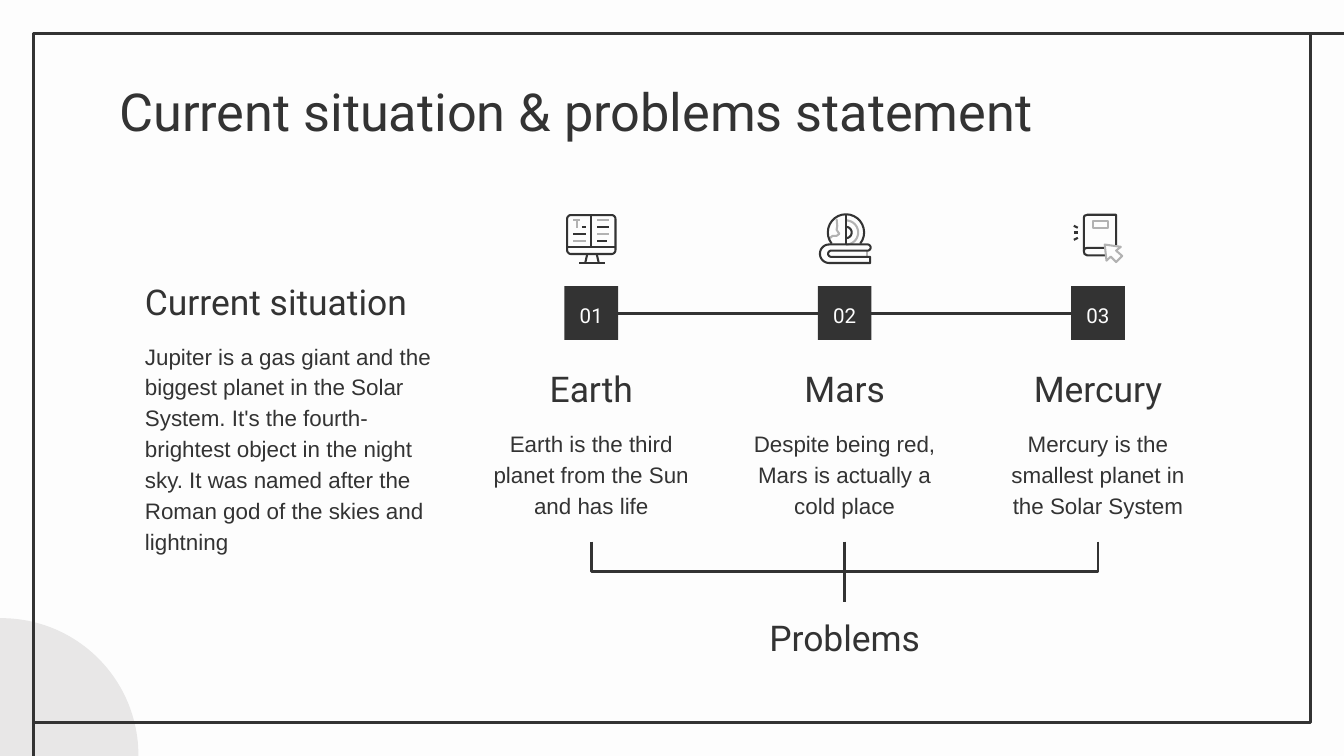
from dataclasses import dataclass
from math import cos, radians, sin

from lxml import etree
from pptx import Presentation
from pptx import util as u
from pptx.dml.color import RGBColor
from pptx.enum import shapes, text
from pptx.oxml import ns

COLORS = {"paper": "FDFDFD", "ink": "333333", "grey": "B2B2B2", "disc": "E8E7E7"}
WIDTH, HEIGHT = 10, 5.625
FIRST_CENTER, PITCH = 4.4, 1.885   # timeline columns
COLUMN_WIDTH, NODE = 1.7, 0.4
NODE_TOP, ICON_TOP = 2.13, 1.59
BRACKET_TOP, BRACKET_BOTTOM = 4.03, 4.48
MARGIN = 0.25
ICON_UNIT = 0.01                   # inches per cell of the icon grid
ALIGN, ANCHOR = text.PP_ALIGN, text.MSO_ANCHOR

Point = tuple[float, float]


@dataclass(frozen=True)
class Style:
    size: float
    font: str = "Roboto"
    color: str = "ink"
    spacing: float = 1.15


@dataclass(frozen=True)
class Stroke:
    points: list[Point]
    color: str = "ink"
    closed: bool = False


@dataclass(frozen=True)
class Problem:
    name: str
    detail: str
    icon: list[Stroke]


TITLE = Style(28, spacing=1.0)
HEADING = Style(19)
BODY = Style(12, "Arial")
NUMBER = Style(11, color="paper")


def arc(x: float, y: float, radius: float, start: int, end: int) -> list[Point]:
    """Points on a circle, with angles running clockwise from the right."""
    steps = 20
    angles = [radians(start + (end - start) * i / steps) for i in range(steps + 1)]
    return [(x + radius * cos(a), y + radius * sin(a)) for a in angles]


def dash(left: float, right: float, y: float, color: str = "ink") -> Stroke:
    return Stroke([(left, y), (right, y)], color)


MONITOR = [
    Stroke(arc(5, 4, 3, 180, 270) + arc(35, 4, 3, 270, 360)
           + arc(35, 27, 3, 0, 90) + arc(5, 27, 3, 90, 180), closed=True),
    Stroke([(20, 1), (20, 24.5)]), dash(2, 38, 24.5),
    Stroke([(17, 30), (15.5, 36.5)]), Stroke([(24, 30), (25.5, 36.5)]),
    dash(11, 30, 36.5),
    dash(6.5, 11.5, 5, "grey"), Stroke([(9, 5), (9, 10.5)], "grey"),
    dash(13, 16, 10), dash(6.5, 16, 15), dash(6.5, 16, 20, "grey"),
    dash(24.5, 33.5, 5, "grey"), dash(24.5, 33.5, 10),
    dash(24.5, 33.5, 15, "grey"), dash(24.5, 32, 20),
]
GLOBE = [
    Stroke([(14, 4), (14.5, 9), (14, 12), (16, 15), (14, 16.5), (11, 16.5), (8, 19)],
           "grey"),
    Stroke(arc(21, 14, 9, -90, 90), "grey"),
    Stroke([(36.5, 27.5), (36.5, 32)], "grey"),
    Stroke(arc(21, 14, 13.5, 142, 398)),
    Stroke([(21, 1), (21, 22.5)]),
    Stroke(arc(21, 14, 4.2, -90, 90)),
    Stroke(arc(8.5, 29.8, 6.9, 90, 270) + arc(37, 25.2, 2.3, -90, 90)
           + arc(10, 29.8, 2.3, 270, 90) + [(39, 32.1), (39, 36.7)], closed=True),
]
BOOK = [
    Stroke([(26, 31), (12, 31), (10, 30), (9.5, 28), (9.5, 3), (10, 1.5),
            (12, 0.8), (33.5, 0.8), (33.5, 24)]),
    Stroke([(9.5, 28), (10, 26), (12, 25.5), (25, 25.5)]),
    Stroke([(25, 23), (37, 24.7), (33.5, 27.5), (38, 31.5), (33.5, 36),
            (29.5, 32), (26.3, 35)], "grey", True),
    Stroke([(16, 5.5), (27.5, 5.5), (27.5, 11), (16, 11)], "grey", True),
    dash(2, 5, 14), Stroke([(2, 9), (5, 10.5)]), Stroke([(2, 19.5), (5, 18)]),
]
PROBLEMS = [
    Problem("Earth", "Earth is the third planet from the Sun and has life", MONITOR),
    Problem("Mars", "Despite being red, Mars is actually a cold place", GLOBE),
    Problem("Mercury", "Mercury is the smallest planet in the Solar System", BOOK),
]


def rgb(name: str) -> RGBColor:
    return RGBColor.from_string(COLORS[name])


def write(shape, words: str, style: Style, align=ALIGN.LEFT, anchor=ANCHOR.TOP) -> None:
    frame = shape.text_frame
    frame.word_wrap, frame.vertical_anchor = True, anchor
    frame.margin_left = frame.margin_right = u.Inches(0.1)
    frame.margin_top = frame.margin_bottom = u.Inches(0.1)
    frame.text = words
    para = frame.paragraphs[0]
    para.alignment, para.line_spacing = align, style.spacing
    font = para.runs[0].font
    font.size, font.name = u.Pt(style.size), style.font
    font.color.rgb = rgb(style.color)


def add_text(page, left: float, top: float, width: float, height: float,
             words: str, style: Style, align=ALIGN.LEFT, anchor=ANCHOR.TOP) -> None:
    box = page.shapes.add_textbox(*map(u.Inches, (left, top, width, height)))
    write(box, words, style, align, anchor)


def add_shape(page, kind, left: float, top: float, width: float, height: float,
              fill: str | None = None):
    """Filled shape without a line, or an ink outline when no fill is given."""
    shape = page.shapes.add_shape(kind, *map(u.Inches, (left, top, width, height)))
    shape.shadow.inherit = False
    if fill:
        shape.fill.solid()
        shape.fill.fore_color.rgb = rgb(fill)
        shape.line.fill.background()
    else:
        shape.fill.background()
        shape.line.color.rgb, shape.line.width = rgb("ink"), u.Pt(1.5)
    return shape


def add_line(page, start: Point, end: Point, color: str = "ink", weight: float = 1.5,
             kind=shapes.MSO_CONNECTOR.STRAIGHT):
    line = page.shapes.add_connector(kind, *map(u.Inches, (*start, *end)))
    line.line.color.rgb, line.line.width = rgb(color), u.Pt(weight)
    etree.SubElement(line._element.spPr, ns.qn("a:effectLst"))
    return line


def add_bracket(page, x: float, target: float) -> None:
    """Elbow that goes down, across to the target and down again."""
    across, down = abs(target - x), BRACKET_BOTTOM - BRACKET_TOP
    middle_x, middle_y = (x + target) / 2, (BRACKET_TOP + BRACKET_BOTTOM) / 2
    rightward = x <= target
    side = down / 2 if rightward else -down / 2
    elbow = add_line(page, (middle_x + side, middle_y - across / 2),
                     (middle_x - side, middle_y + across / 2),
                     kind=shapes.MSO_CONNECTOR.ELBOW)
    elbow._element.spPr.xfrm.set("rot", str((270 if rightward else 90) * 60000))


def add_icon(page, left: float, strokes: list[Stroke]) -> None:
    for stroke in strokes:
        points = [(left + x * ICON_UNIT, ICON_TOP + y * ICON_UNIT)
                  for x, y in stroke.points]
        if len(points) == 2:
            add_line(page, *points, stroke.color, 1.1)
            continue
        first, *rest = [(u.Inches(x), u.Inches(y)) for x, y in points]
        builder = page.shapes.build_freeform(*first)
        builder.add_line_segments(rest, close=stroke.closed)
        outline = builder.convert_to_shape()
        outline.shadow.inherit = False
        outline.fill.background()
        outline.line.color.rgb, outline.line.width = rgb(stroke.color), u.Pt(1.1)


def main() -> None:
    deck = Presentation()
    deck.slide_width, deck.slide_height = u.Inches(WIDTH), u.Inches(HEIGHT)
    page = deck.slides.add_slide(deck.slide_layouts[6])
    page.background.fill.solid()
    page.background.fill.fore_color.rgb = rgb("paper")
    preset = shapes.MSO_SHAPE
    centers = [FIRST_CENTER + PITCH * i for i in range(len(PROBLEMS))]

    add_shape(page, preset.OVAL, -1.01, 4.6, 2.04, 2.04, "disc")
    right, bottom = WIDTH - MARGIN, HEIGHT - MARGIN
    add_shape(page, preset.RECTANGLE, MARGIN, MARGIN, right - MARGIN, bottom - MARGIN)
    add_line(page, (WIDTH, MARGIN), (right, MARGIN))
    add_line(page, (MARGIN, HEIGHT), (MARGIN, bottom))

    add_text(page, 0.79, 0.49, 8.43, 0.63, "Current situation & problems statement", TITLE)
    add_text(page, 0.98, 2.05, 2.41, 0.45, "Current situation", HEADING,
             anchor=ANCHOR.BOTTOM)
    add_text(page, 0.98, 2.42, 2.41, 1.76,
             "Jupiter is a gas giant and the biggest planet in the Solar System. "
             "It's the fourth-brightest object in the night sky. It was named after "
             "the Roman god of the skies and lightning", BODY)

    axis = NODE_TOP + NODE / 2
    add_line(page, (centers[0] + NODE / 2, axis), (centers[-1] - NODE / 2, axis))
    for number, (center, problem) in enumerate(zip(centers, PROBLEMS), 1):
        left = center - COLUMN_WIDTH / 2
        add_text(page, left, 2.7, COLUMN_WIDTH, 0.45, problem.name, HEADING,
                 ALIGN.CENTER, ANCHOR.BOTTOM)
        add_text(page, left, 3.07, COLUMN_WIDTH, 0.96, problem.detail, BODY, ALIGN.CENTER)
        node = add_shape(page, preset.RECTANGLE, center - NODE / 2, NODE_TOP,
                         NODE, NODE, "ink")
        write(node, f"{number:02}", NUMBER, ALIGN.CENTER, ANCHOR.MIDDLE)
        add_icon(page, center - NODE / 2, problem.icon)
        add_bracket(page, center, centers[1])
    add_text(page, centers[1] - COLUMN_WIDTH / 2, 4.48, COLUMN_WIDTH, 0.52, "Problems",
             HEADING, ALIGN.CENTER, ANCHOR.BOTTOM)
    deck.save("out.pptx")


if __name__ == "__main__":
    main()
